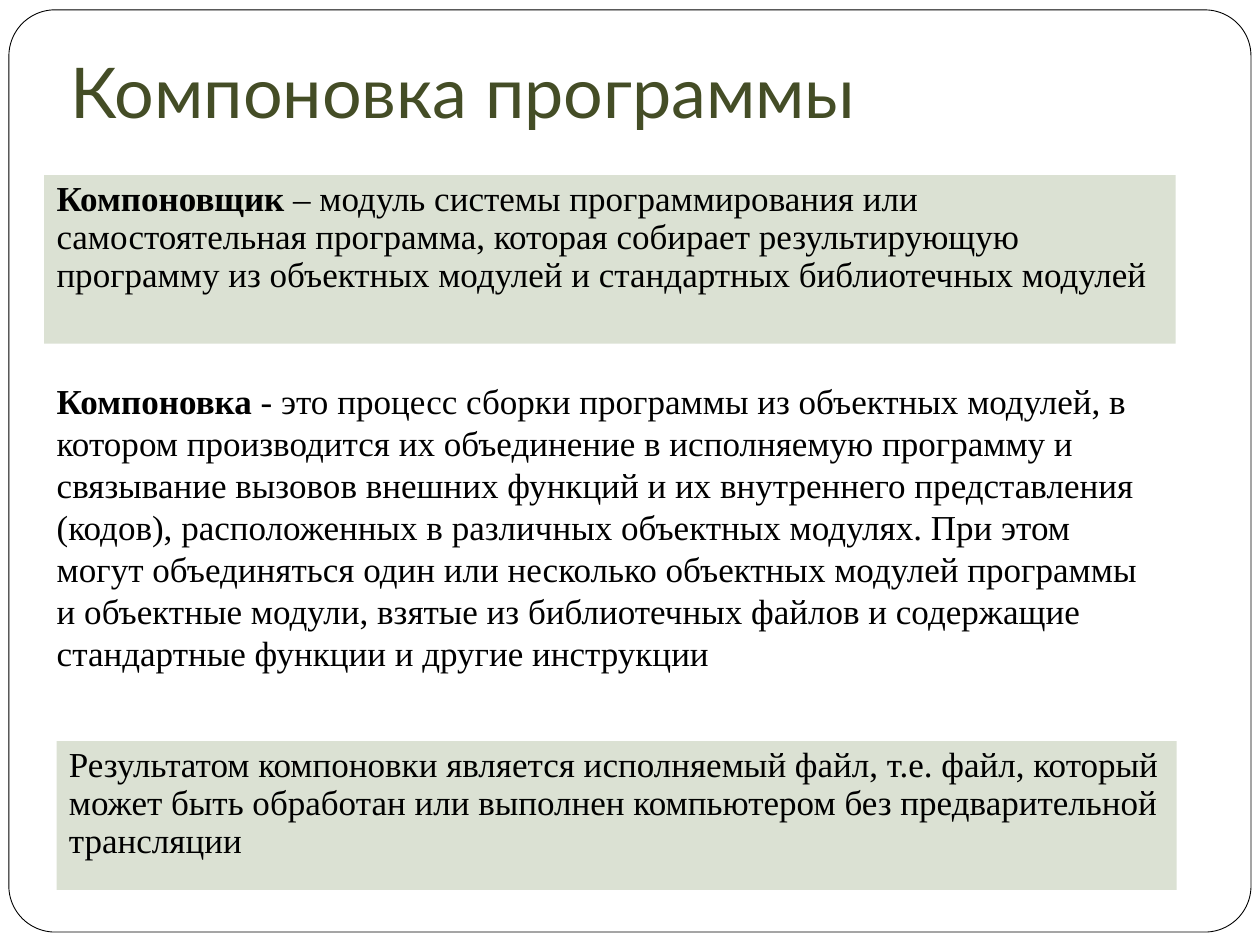
from lxml import etree
from pptx import Presentation
from pptx.dml.color import RGBColor
from pptx.enum.shapes import MSO_SHAPE
from pptx.enum.text import MSO_ANCHOR, MSO_AUTO_SIZE, PP_ALIGN
from pptx.oxml.ns import qn
from pptx.util import Cm, Pt

RECTANGLE = MSO_SHAPE.RECTANGLE
ROUNDED_RECTANGLE = MSO_SHAPE.ROUNDED_RECTANGLE
TOP, BOTTOM = MSO_ANCHOR.TOP, MSO_ANCHOR.BOTTOM
LEFT = PP_ALIGN.LEFT
NO_AUTOFIT = MSO_AUTO_SIZE.NONE

COLORS = {"paper": "FFFFFF", "text": "000000", "title": "444D26", "panel": "DBE1D3"}
TITLE_FONT, TEXT_FONT = "Lato", "Times New Roman"

# Boxes are left, top, width, height in centimetres
FRAME_BOX = (0.18, 0.2, 25.04, 18.59)
TITLE_BOX = (1.17, 0.71, 20.96, 2.21)
LINKER_BOX = (0.89, 3.53, 22.81, 3.4)
LINKING_BOX = (0.89, 7.52, 22.81, 7.21)
RESULT_BOX = (1.14, 14.94, 22.58, 3)

LINKER = [
    ("Компоновщик", True),
    ("\u00a0– модуль системы программирования или самостоятельная программа, "
     "которая собирает результирующую программу из объектных модулей "
     "и стандартных библиотечных модулей", False),
]
LINKING = [
    ("Компоновка", True),
    (" - это процесс сборки программы из объектных модулей, в котором "
     "производится их объединение в исполняемую программу и связывание вызовов "
     "внешних функций и их внутреннего представления (кодов), расположенных "
     "в различных объектных модулях. При этом могут объединяться один или "
     "несколько объектных модулей программы и объектные модули, взятые из "
     "библиотечных файлов и содержащие стандартные функции и другие инструкции",
     False),
]
RESULT = [
    ("Результатом компоновки является исполняемый файл, т.е. файл, который может "
     "быть обработан или выполнен компьютером без предварительной трансляции", False),
]


def color(name):
    return RGBColor.from_string(COLORS[name])


def place(shape, box):
    shape.left, shape.top, shape.width, shape.height = map(Cm, box)


def format_run(run, font, size, color_name, bold=False):
    run.font.name = font
    run.font.size = Pt(size)
    run.font.bold = bold
    run.font.color.rgb = color(color_name)


def write_definition(shape, parts, space_before, line_spacing):
    """Fill the shape with one paragraph made of (text, bold) parts."""
    text_frame = shape.text_frame
    text_frame.word_wrap = True
    text_frame.auto_size = NO_AUTOFIT
    text_frame.vertical_anchor = TOP
    paragraph = text_frame.paragraphs[0]
    paragraph.alignment = LEFT
    paragraph.space_before = Pt(space_before)
    paragraph.line_spacing = line_spacing
    for text, bold in parts:
        run = paragraph.add_run()
        run.text = text
        format_run(run, TEXT_FONT, 20, "text", bold)
    return paragraph


def add_frame(slide, box):
    """Draw the rounded slide border behind everything else."""
    frame = slide.shapes.add_shape(ROUNDED_RECTANGLE, *map(Cm, box))
    frame.shadow.inherit = False
    frame.adjustments[0] = 0.05
    frame.fill.solid()
    frame.fill.fore_color.rgb = color("paper")
    frame.line.color.rgb = color("text")
    frame.line.width = Pt(0.5)
    slide.shapes._spTree.insert(2, frame._element)


def fill_title(slide, box, text):
    title = slide.shapes.title
    place(title, box)
    text_frame = title.text_frame
    text_frame.text = text
    text_frame.vertical_anchor = BOTTOM
    text_frame.auto_size = NO_AUTOFIT
    text_frame.margin_bottom = Cm(0.25)
    paragraph = text_frame.paragraphs[0]
    paragraph.alignment = LEFT
    format_run(paragraph.runs[0], TITLE_FONT, 40, "title")


def fill_body(slide, box, parts):
    body = slide.placeholders[1]
    place(body, box)
    paragraph = write_definition(body, parts, 5.8, 1.0)
    properties = paragraph._p.get_or_add_pPr()
    properties.set("marL", "0")
    properties.set("indent", "0")
    etree.SubElement(properties, qn("a:buNone"))


def add_panel(slide, box, parts):
    panel = slide.shapes.add_shape(RECTANGLE, *map(Cm, box))
    panel.shadow.inherit = False
    panel.fill.solid()
    panel.fill.fore_color.rgb = color("panel")
    panel.line.fill.background()
    write_definition(panel, parts, 4, 0.9)


def main():
    presentation = Presentation()
    presentation.slide_width = Cm(25.4)
    presentation.slide_height = Cm(19.05)
    slide = presentation.slides.add_slide(presentation.slide_layouts[1])
    add_frame(slide, FRAME_BOX)
    fill_title(slide, TITLE_BOX, "Компоновка программы")
    fill_body(slide, LINKING_BOX, LINKING)
    add_panel(slide, RESULT_BOX, RESULT)
    add_panel(slide, LINKER_BOX, LINKER)
    presentation.save("out.pptx")


if __name__ == "__main__":
    main()
